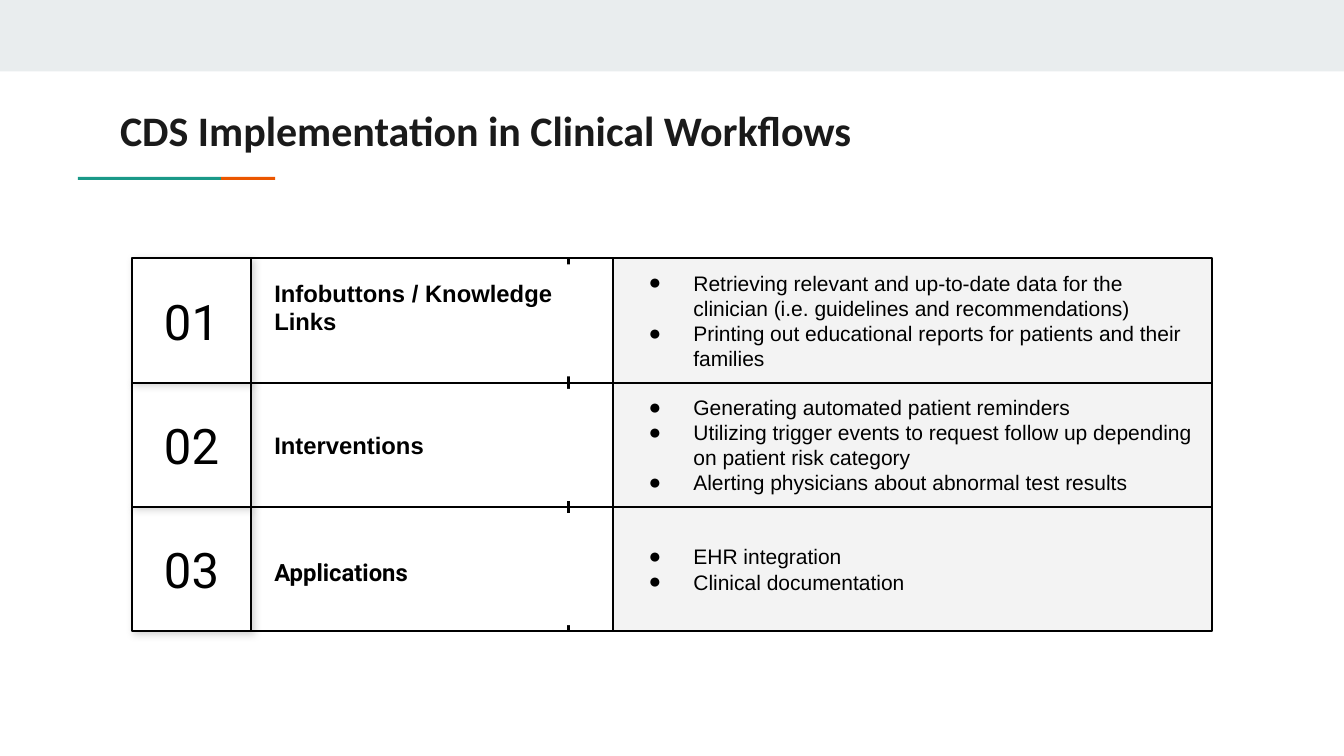
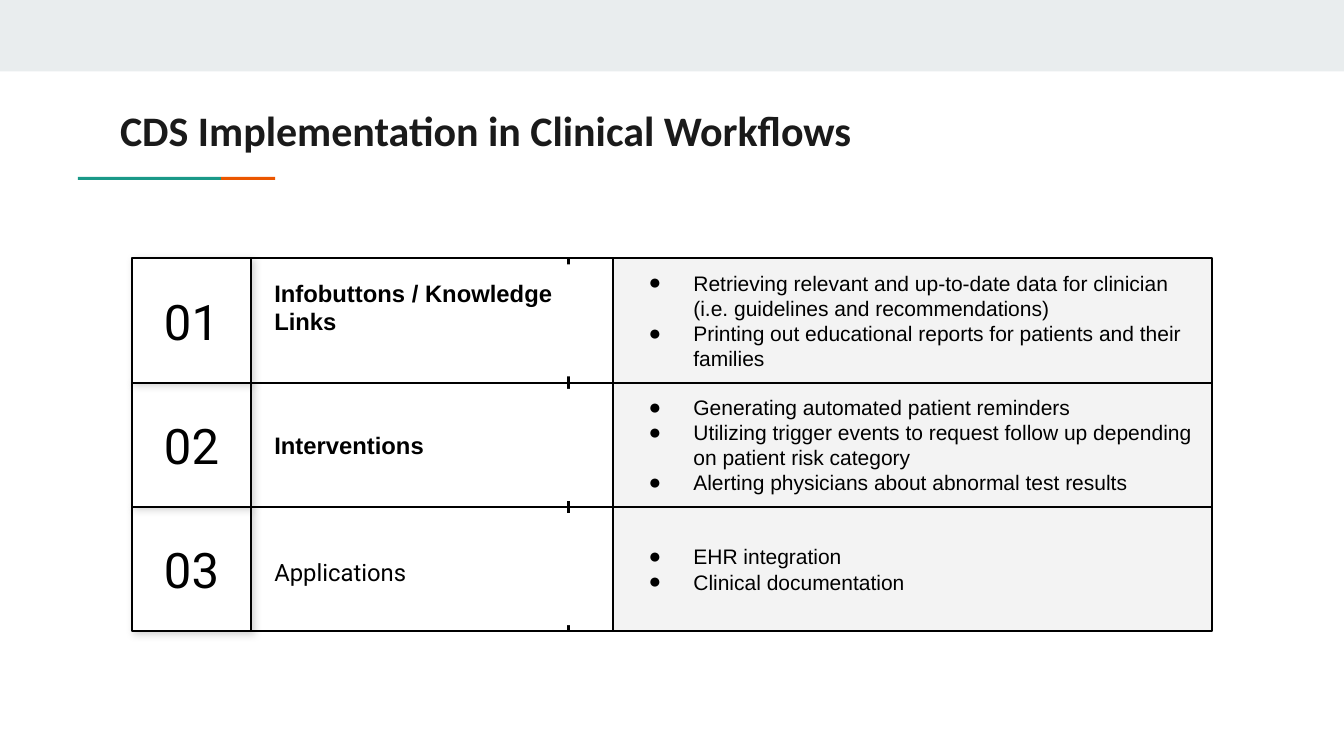
from dataclasses import dataclass

from lxml import etree
from pptx import Presentation
from pptx.dml.color import RGBColor
from pptx.enum.shapes import MSO_SHAPE
from pptx.enum.text import MSO_ANCHOR, PP_ALIGN
from pptx.oxml.ns import qn
from pptx.util import Pt

RECT = MSO_SHAPE.RECTANGLE
POINTER = MSO_SHAPE.FLOWCHART_OFFPAGE_CONNECTOR
TOP, MIDDLE = MSO_ANCHOR.TOP, MSO_ANCHOR.MIDDLE
LEFT, CENTER = PP_ALIGN.LEFT, PP_ALIGN.CENTER


@dataclass(frozen=True)
class Theme:
    band: str = "E9EDEE"
    teal: str = "1A9988"
    orange: str = "EB5600"
    title: str = "1A1A1A"
    ink: str = "000000"
    paper: str = "FFFFFF"
    panel: str = "F3F3F3"
    title_font: str = "Calibri"
    body_font: str = "Arial"
    number_font: str = "Roboto"
    title_size: float = 30
    number_size: float = 35
    label_size: float = 17
    detail_size: float = 15
    border: float = 1.5
    inset: float = 9.4


THEME = Theme()
SLIDE_W, SLIDE_H = 960, 540
TITLE = "CDS Implementation in Clinical Workflows"
TABLE_BOX = (94.3, 184.5, 771.3, 266.4)


@dataclass(frozen=True)
class Row:
    label: str
    details: tuple
    font: str = THEME.body_font
    bold: bool = True
    spacing: float = 1.0
    lift: float = 0  # extra space under the label


def add_box(shapes, box, fill, border=False, kind=RECT):
    shape = shapes.add_shape(kind, *(Pt(length) for length in box))
    shape.shadow.inherit = False
    shape.fill.solid()
    shape.fill.fore_color.rgb = RGBColor.from_string(fill)
    if border:
        shape.line.color.rgb = RGBColor.from_string(THEME.ink)
        shape.line.width = Pt(THEME.border)
    else:
        shape.line.fill.background()
    return shape


def write(shape, lines, font, size, color=THEME.ink, bold=False, align=LEFT,
          anchor=MIDDLE, spacing=1.0, lift=0, bullets=False):
    frame = shape.text_frame
    frame.word_wrap = True
    frame.vertical_anchor = anchor
    frame.margin_left = frame.margin_right = frame.margin_top = Pt(THEME.inset)
    frame.margin_bottom = Pt(THEME.inset + lift)
    frame.text = "\n".join(lines)
    for paragraph in frame.paragraphs:
        paragraph.alignment = align
        paragraph.line_spacing = spacing
        if bullets:
            add_bullet(paragraph)
        for run in paragraph.runs:
            run.font.name = font
            run.font.size = Pt(size)
            run.font.bold = bold
            run.font.color.rgb = RGBColor.from_string(color)


def add_bullet(paragraph):
    properties = paragraph._p.get_or_add_pPr()
    properties.set("marL", str(Pt(48)))
    properties.set("indent", str(Pt(-32)))
    color = etree.SubElement(properties, qn("a:buClr"))
    etree.SubElement(color, qn("a:srgbClr"), val=THEME.ink)
    etree.SubElement(properties, qn("a:buFont"), typeface=THEME.body_font)
    etree.SubElement(properties, qn("a:buChar"), char="●")


def add_soft_shadow(shape):
    effects = shape._element.spPr.find(qn("a:effectLst"))
    shadow = etree.SubElement(effects, qn("a:outerShdw"), blurRad=str(Pt(5.6)),
                              dist=str(Pt(2.2)), dir="2700000", algn="bl",
                              rotWithShape="0")
    color = etree.SubElement(shadow, qn("a:srgbClr"), val=THEME.ink)
    etree.SubElement(color, qn("a:alpha"), val="17000")


def add_header(slide, title):
    # Band across the top
    add_box(slide.shapes, (0, 0, SLIDE_W, 51), THEME.band)
    # Two-colour accent under the title
    left = 55.7
    for width, color in ((102.2, THEME.teal), (38.6, THEME.orange)):
        add_box(slide.shapes, (left, 126.4, width, 2.2), color)
        left += width
    # Title
    heading = slide.shapes.add_textbox(Pt(76.3), Pt(69.1), Pt(807.1), Pt(56.2))
    write(heading, [title], THEME.title_font, THEME.title_size, THEME.title,
          bold=True, anchor=TOP, spacing=0.9)


def add_row(slide, box, number, row):
    left, top, width, height = box
    shapes = slide.shapes.add_group_shape().shapes
    number_w, detail_w = 85, 427.7

    # Outlined backing, running under the detail panel
    add_box(shapes, (left + 262, top, 469.4, height), THEME.paper, border=True)
    add_box(shapes, (left + number_w, top, 226.8, height), THEME.paper, border=True)

    # Pointer towards the detail panel, turned on its side
    pointer_w, pointer_h = height - 8.8, 193
    center_x, center_y = left + 274, top + height / 2
    pointer = add_box(shapes, (center_x - pointer_w / 2, center_y - pointer_h / 2,
                               pointer_w, pointer_h), THEME.paper, kind=POINTER)
    pointer.rotation = 270

    # Label
    label = add_box(shapes, (left + 92.2, top + 10.4, 238.3, 68.4), THEME.paper)
    write(label, [row.label], row.font, THEME.label_size, bold=row.bold,
          spacing=row.spacing, lift=row.lift)

    # Number
    tile = add_box(shapes, (left, top, number_w, height), THEME.paper, border=True)
    add_soft_shadow(tile)
    write(tile, [f"{number:02d}"], THEME.number_font, THEME.number_size, align=CENTER)

    # Details
    panel = add_box(shapes, (left + width - detail_w, top, detail_w, height),
                    THEME.panel, border=True)
    write(panel, row.details, THEME.body_font, THEME.detail_size, bullets=True)


def add_workflow_slide(deck, rows):
    slide = deck.slides.add_slide(deck.slide_layouts[6])
    add_header(slide, TITLE)
    left, top, width, height = TABLE_BOX
    row_h = height / len(rows)
    # Lowest row first, so that each row overlaps the one below it
    for index, row in reversed(list(enumerate(rows))):
        add_row(slide, (left, top + index * row_h, width, row_h), index + 1, row)


def workflow_rows(reader, applications_bold):
    return (
        Row("Infobuttons / Knowledge Links",
            (f"Retrieving relevant and up-to-date data for {reader} "
             "(i.e. guidelines and recommendations)",
             "Printing out educational reports for patients and their families"),
            lift=20),
        Row("Interventions",
            ("Generating automated patient reminders",
             "Utilizing trigger events to request follow up depending "
             "on patient risk category",
             "Alerting physicians about abnormal test results")),
        Row("Applications", ("EHR integration", "Clinical documentation"),
            font=THEME.number_font, bold=applications_bold, spacing=1.15),
    )


def main():
    deck = Presentation()
    deck.slide_width, deck.slide_height = Pt(SLIDE_W), Pt(SLIDE_H)
    add_workflow_slide(deck, workflow_rows("the clinician", True))
    add_workflow_slide(deck, workflow_rows("clinician", False))
    deck.save("out.pptx")


if __name__ == "__main__":
    main()
